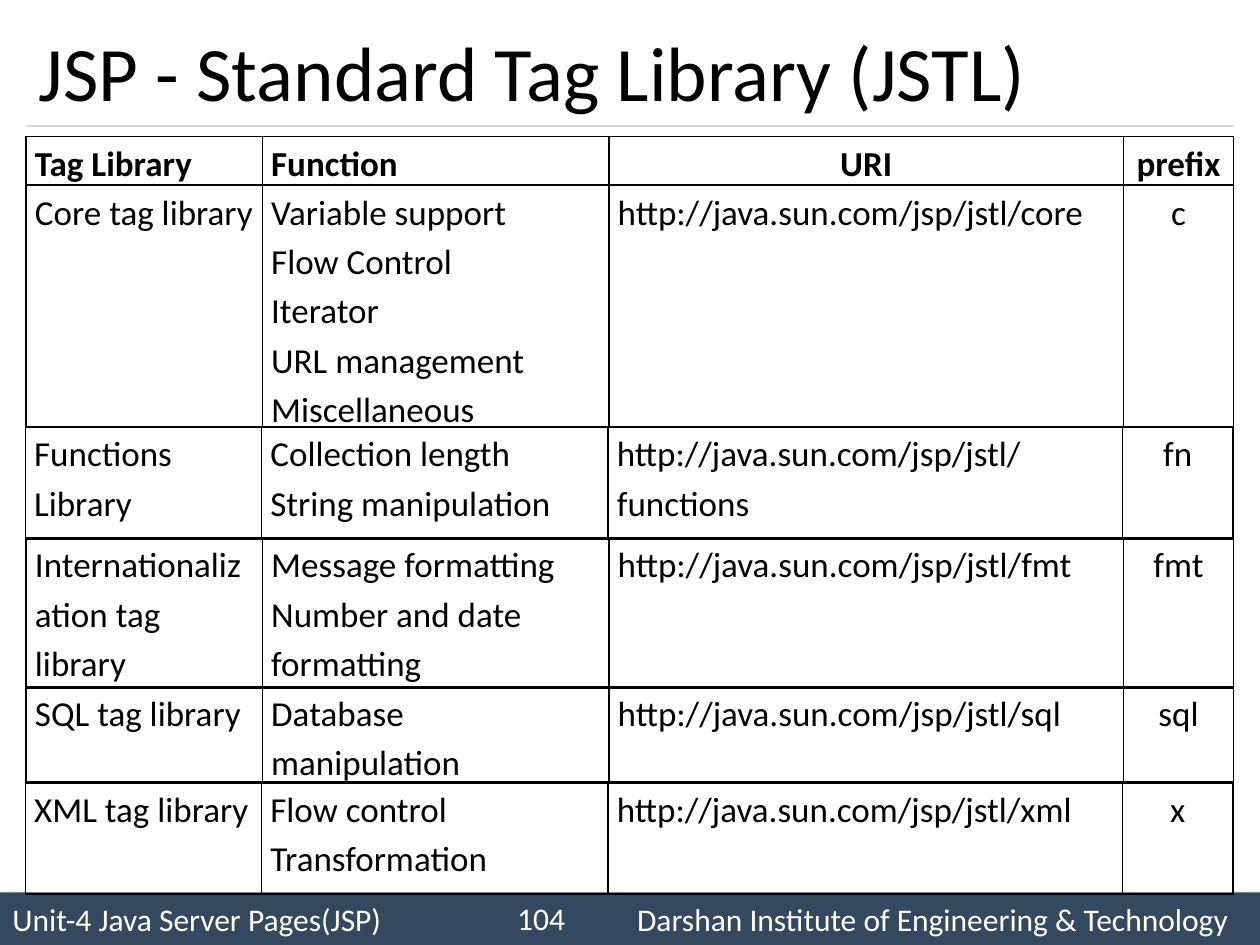
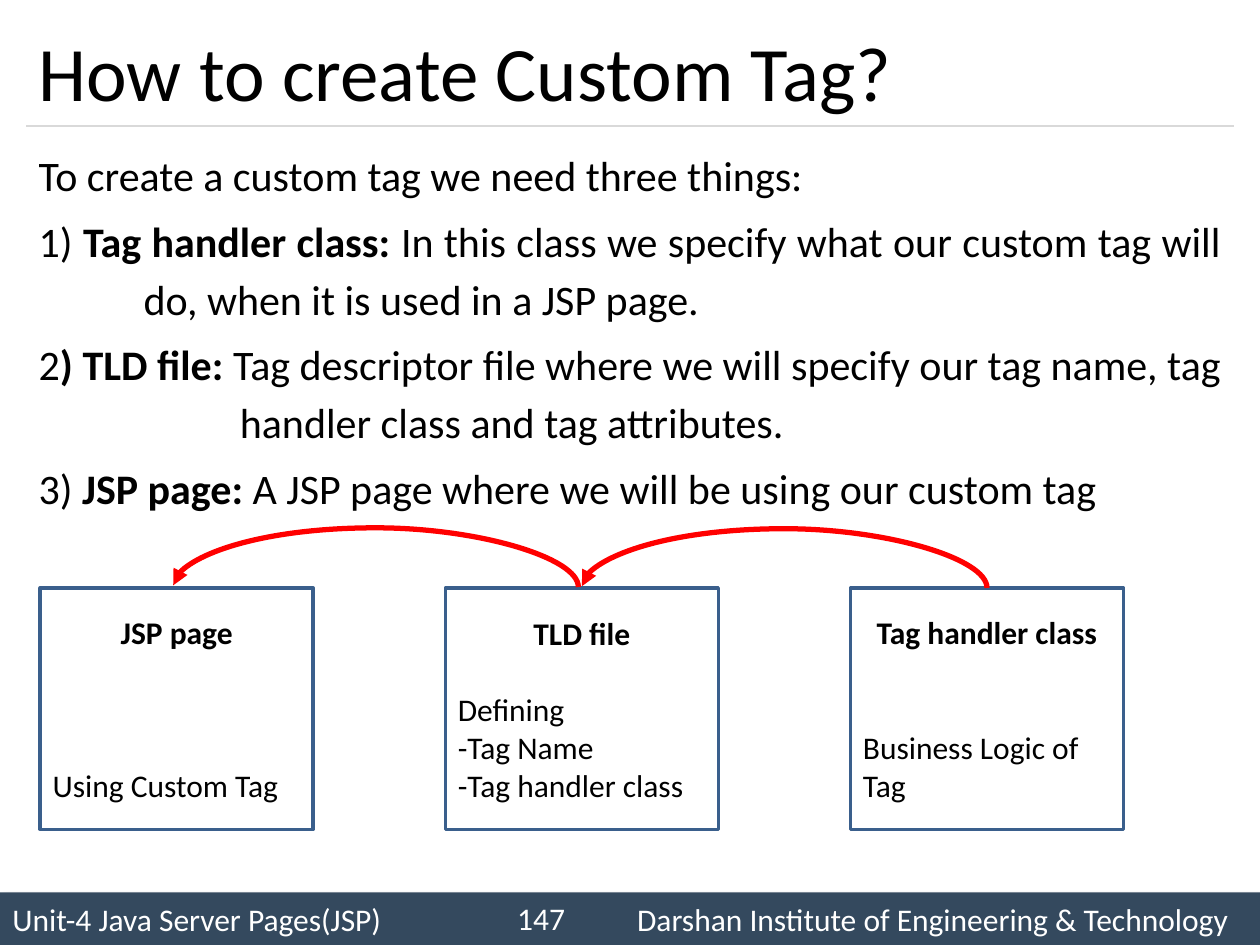
from dataclasses import dataclass

from lxml import etree
from pptx import Presentation
from pptx.dml.color import RGBColor
from pptx.enum.shapes import MSO_CONNECTOR, MSO_SHAPE
from pptx.enum.text import MSO_ANCHOR, PP_ALIGN
from pptx.oxml.ns import qn
from pptx.util import Pt

LEFT, CENTER, RIGHT, JUSTIFY = PP_ALIGN.LEFT, PP_ALIGN.CENTER, PP_ALIGN.RIGHT, PP_ALIGN.JUSTIFY
TOP, MIDDLE = MSO_ANCHOR.TOP, MSO_ANCHOR.MIDDLE
RECTANGLE = MSO_SHAPE.RECTANGLE
STRAIGHT, CURVE = MSO_CONNECTOR.STRAIGHT, MSO_CONNECTOR.CURVE


@dataclass(frozen=True)
class Theme:
    font: str = "Calibri"
    ink: str = "000000"
    paper: str = "FFFFFF"
    band: str = "34495E"
    rule: str = "D9D9D9"
    box: str = "3A5F8C"
    arrow: str = "FF0000"
    title_size: int = 44
    body_size: int = 24
    table_size: int = 20
    small_size: int = 18


THEME = Theme()
WIDTH, HEIGHT = 720, 540
MARGIN, CONTENT_WIDTH = 15, 690
BAND_TOP = 510
COURSE = "Unit-4 Java Server Pages(JSP)"
INSTITUTE = "Darshan Institute of Engineering & Technology"

COLUMNS = (135, 198, 294, 63)
LIBRARIES = (
    (15, 78, 27, ("Tag Library", "Function", "URI", "prefix")),
    (15, 106, 136, ("Core tag library",
                    "Variable support\nFlow Control\nIterator\nURL management\nMiscellaneous",
                    "http://java.sun.com/jsp/jstl/core", "c")),
    (14.5, 244, 64, ("Functions Library", "Collection length\nString manipulation",
                     "http://java.sun.com/jsp/jstl/functions", "fn")),
    (15, 307.5, 86, ("Internationalization tag library",
                     "Message formatting\nNumber and date formatting",
                     "http://java.sun.com/jsp/jstl/fmt", "fmt")),
    (15, 392.5, 54, ("SQL tag library", "Database manipulation",
                     "http://java.sun.com/jsp/jstl/sql", "sql")),
    (14.5, 447, 64, ("XML tag library", "Flow control\nTransformation",
                     "http://java.sun.com/jsp/jstl/xml", "x")),
)

STEPS = (
    (0, (("To create a custom tag we need three things:", False),)),
    (60, (("1) ", False), ("Tag handler class: ", True),
          ("In this class we specify what our custom tag will do, "
           "when it is used in a JSP page.", False))),
    (115, (("2", False), (") TLD file: ", True),
           ("Tag descriptor file where we will specify our tag name, tag "
            "handler class and tag attributes.", False))),
    (0, (("3) ", False), ("JSP page: ", True),
         ("A JSP page where we will be using our custom tag", False))),
)

PARTS = (
    ("JSP page", 66, ("Using Custom Tag",)),
    ("TLD file", 22, ("Defining", "-Tag Name", "-Tag handler class")),
    ("Tag handler class", 44, ("Business Logic of Tag",)),
)


def color(value):
    return RGBColor.from_string(value)


def paragraph_at(frame, index):
    return frame.paragraphs[0] if index == 0 else frame.add_paragraph()


def write(paragraph, text, *, size, ink=THEME.ink, bold=False, align=LEFT,
          spacing=None, before=0, hang=0):
    paragraph.alignment = align
    if spacing:
        paragraph.line_spacing = spacing
    if before:
        paragraph.space_before = Pt(before)
    if hang:
        properties = paragraph._p.get_or_add_pPr()
        properties.set("marL", str(Pt(hang)))
        properties.set("indent", str(Pt(-hang)))
    run = paragraph.add_run()
    run.text = text
    run.font.name = THEME.font
    run.font.size = Pt(size)
    run.font.bold = bold
    run.font.color.rgb = color(ink)


class Deck:
    def __init__(self, theme):
        self.theme = theme
        self.presentation = Presentation()
        self.presentation.slide_width = Pt(WIDTH)
        self.presentation.slide_height = Pt(HEIGHT)
        self.slide = None

    def start(self, title, number):
        theme = self.theme
        self.slide = self.presentation.slides.add_slide(self.presentation.slide_layouts[6])
        self.footer_band()
        self.line(STRAIGHT, (MARGIN, 72), (WIDTH - MARGIN, 72), theme.rule, 0.75)
        heading = self.text_area(MARGIN, 9, CONTENT_WIDTH, 63, MIDDLE)
        write(heading.paragraphs[0], title, size=theme.title_size)
        page = self.text_area(282, BAND_TOP, 48, 29, MIDDLE)
        write(page.paragraphs[0], str(number), size=theme.small_size,
              ink=theme.paper, align=RIGHT)

    def text_area(self, left, top, width, height, anchor=TOP):
        frame = self.slide.shapes.add_textbox(Pt(left), Pt(top), Pt(width), Pt(height)).text_frame
        frame.word_wrap = True
        frame.vertical_anchor = anchor
        return frame

    def rectangle(self, left, top, width, height, fill=None, outline=None):
        shape = self.slide.shapes.add_shape(RECTANGLE, Pt(left), Pt(top), Pt(width), Pt(height))
        shape.shadow.inherit = False
        if fill:
            shape.fill.solid()
            shape.fill.fore_color.rgb = color(fill)
        else:
            shape.fill.background()
        if outline:
            shape.line.color.rgb = color(outline)
            shape.line.width = Pt(2)
        else:
            shape.line.fill.background()
        shape.text_frame.word_wrap = True
        shape.text_frame.vertical_anchor = MIDDLE
        return shape

    def footer_band(self):
        band = self.rectangle(0, BAND_TOP, WIDTH, HEIGHT - BAND_TOP, fill=self.theme.band)
        effects = band._element.spPr.find(qn("a:effectLst"))
        shadow = etree.SubElement(effects, qn("a:outerShdw"), blurRad=str(Pt(4)),
                                  dist=str(Pt(3)), dir="2700000", algn="tl", rotWithShape="0")
        shade = etree.SubElement(shadow, qn("a:srgbClr"), val=self.theme.ink)
        etree.SubElement(shade, qn("a:alpha"), val="40000")
        paragraph = band.text_frame.paragraphs[0]
        tabs = etree.SubElement(paragraph._p.get_or_add_pPr(), qn("a:tabLst"))
        etree.SubElement(tabs, qn("a:tab"), pos=str(Pt(357)), algn="l")
        write(paragraph, f"{COURSE}\t{INSTITUTE}", size=self.theme.small_size,
              ink=self.theme.paper)

    def line(self, kind, start, end, ink, width):
        connector = self.slide.shapes.add_connector(
            kind, Pt(start[0]), Pt(start[1]), Pt(end[0]), Pt(end[1]))
        connector.line.color.rgb = color(ink)
        connector.line.width = Pt(width)
        etree.SubElement(connector._element.spPr, qn("a:effectLst"))
        return connector

    def arc_arrow(self, start_x, end_x, base):
        span = start_x - end_x
        left = (start_x + end_x) / 2 - 0.5
        middle = base - 0.5
        arrow = self.line(CURVE, (left, middle + span / 2), (left + 1, middle - span / 2),
                          self.theme.arrow, 3)
        properties = arrow._element.spPr
        properties.find(qn("a:xfrm")).set("rot", "16200000")
        guides = properties.find(qn("a:prstGeom")).find(qn("a:avLst"))
        etree.SubElement(guides, qn("a:gd"), name="adj1", fmla="val 3411900")
        etree.SubElement(properties.find(qn("a:ln")), qn("a:tailEnd"), type="triangle")

    def table_row(self, left, top, height, texts, header=False):
        table = self.slide.shapes.add_table(
            1, len(COLUMNS), Pt(left), Pt(top), Pt(CONTENT_WIDTH), Pt(height)).table
        table.first_row = table.horz_banding = False
        table.rows[0].height = Pt(height)
        for index, (width, text) in enumerate(zip(COLUMNS, texts)):
            table.columns[index].width = Pt(width)
            centered = index == 3 or (header and index == 2)
            self.cell(table.cell(0, index), text, header, CENTER if centered else LEFT)

    def cell(self, cell, text, bold, align):
        cell.margin_left = cell.margin_right = Pt(5)
        cell.margin_top = cell.margin_bottom = 0
        for side in ("lnL", "lnR", "lnT", "lnB"):
            border = etree.SubElement(cell._tc.get_or_add_tcPr(), qn(f"a:{side}"), w=str(Pt(1)))
            fill = etree.SubElement(border, qn("a:solidFill"))
            etree.SubElement(fill, qn("a:srgbClr"), val=self.theme.ink)
        cell.fill.background()
        for index, entry in enumerate(text.split("\n")):
            write(paragraph_at(cell.text_frame, index), entry, size=self.theme.table_size,
                  bold=bold, align=align, spacing=1.15)

    def steps(self, steps):
        frame = self.text_area(MARGIN, 78, CONTENT_WIDTH, 420)
        for index, (hang, runs) in enumerate(steps):
            paragraph = paragraph_at(frame, index)
            for text, bold in runs:
                write(paragraph, text, size=self.theme.body_size, bold=bold, align=JUSTIFY,
                      spacing=1.14, before=4.8 if index else 0, hang=hang)

    def part_box(self, left, top, width, height, name, gap, details):
        frame = self.rectangle(left, top, width, height, outline=self.theme.box).text_frame
        size = self.theme.small_size
        write(frame.paragraphs[0], name, size=size, bold=True, align=CENTER)
        for index, detail in enumerate(details):
            write(frame.add_paragraph(), detail, size=size, before=0 if index else gap)


def main():
    deck = Deck(THEME)

    deck.start("JSP - Standard Tag Library (JSTL)", 104)
    for index, (left, top, height, texts) in enumerate(LIBRARIES):
        deck.table_row(left, top, height, texts, header=index == 0)

    deck.start("How to create Custom Tag?", 147)
    deck.steps(STEPS)
    first_left, pitch, box_top, box_width, box_height = 23, 231.5, 336, 156, 138
    centers = []
    for index, part in enumerate(PARTS):
        left = first_left + index * pitch
        deck.part_box(left, box_top, box_width, box_height, *part)
        centers.append(left + box_width / 2)
    page_x, descriptor_x, handler_x = centers
    deck.arc_arrow(handler_x, descriptor_x, box_top)
    deck.arc_arrow(descriptor_x - 2, page_x - 2, box_top - 0.5)

    deck.presentation.save("out.pptx")


if __name__ == "__main__":
    main()
